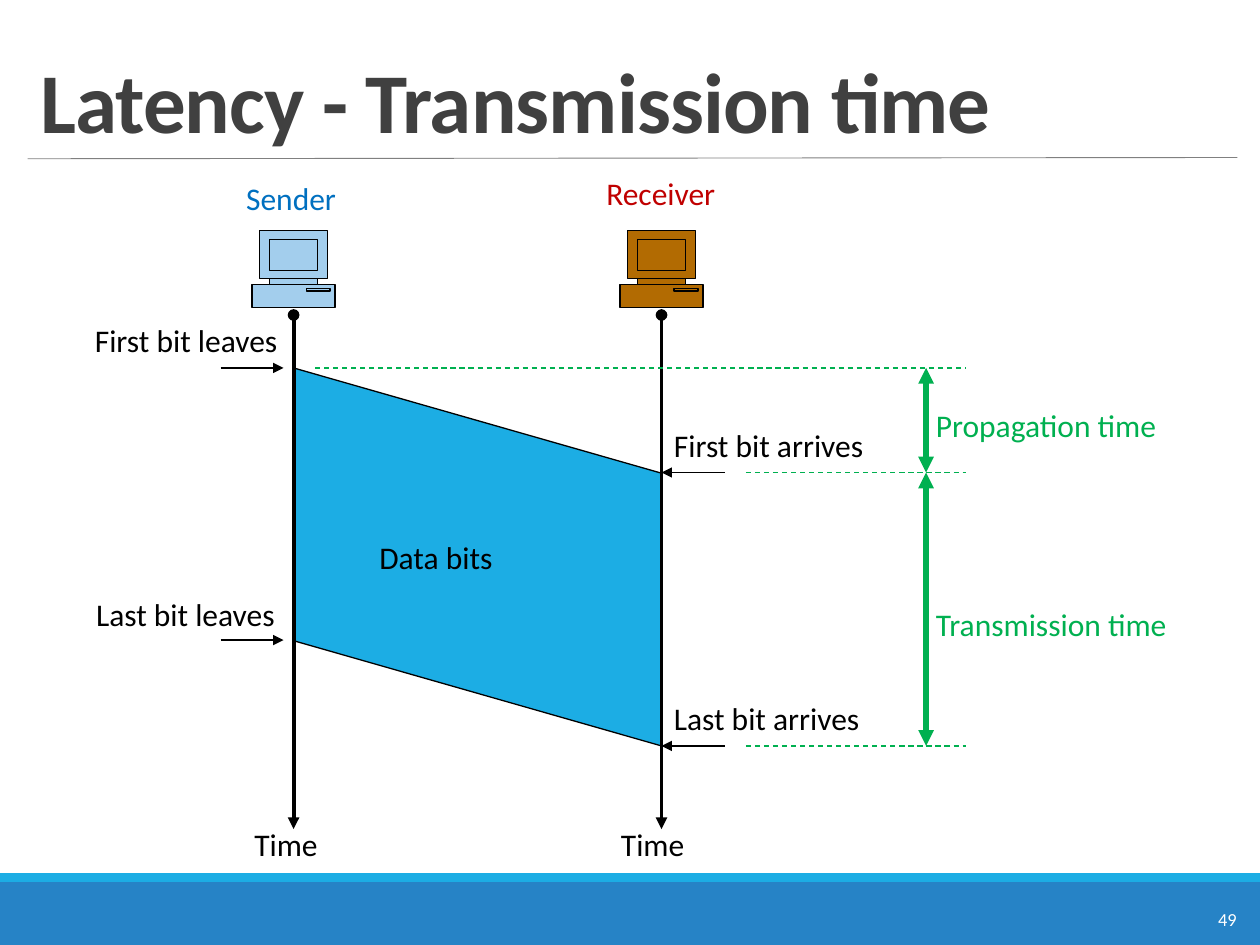
"""Build the slide on latency and transmission time between a sender and a receiver."""
import lxml.etree
import pptx
import pptx.dml.color
import pptx.enum.dml
import pptx.enum.shapes
import pptx.enum.text
import pptx.oxml.ns
import pptx.util

Inches = pptx.util.Inches
qn = pptx.oxml.ns.qn
RECTANGLE = pptx.enum.shapes.MSO_SHAPE.RECTANGLE
ALIGN = pptx.enum.text.PP_ALIGN
ANCHOR = pptx.enum.text.MSO_ANCHOR
COLORS = {
    "black": "000000", "white": "FFFFFF", "title": "404040", "rule": "808080",
    "footer": "2683C6", "accent": "1CADE4", "sender": "0070C0",
    "receiver": "C00000", "sender_pc": "A3CEED", "receiver_pc": "B26B02",
    "timing": "00B050",
}
SENDER_X, RECEIVER_X, TIMING_X = 2.33, 5.25, 7.35
FIRST_LEAVES, FIRST_ARRIVES, LAST_LEAVES, LAST_ARRIVES = 2.92, 3.75, 5.08, 5.92

prs = pptx.Presentation()
prs.slide_width, prs.slide_height = Inches(10), Inches(7.5)
slide = prs.slides.add_slide(prs.slide_layouts[6])
shapes = slide.shapes


def rgb(name):
    return pptx.dml.color.RGBColor.from_string(COLORS[name])


def add_line(start, end, color="black", width=0.75, dash=None, head=None, tail=None):
    line = shapes.add_connector(
        pptx.enum.shapes.MSO_CONNECTOR.STRAIGHT, *map(Inches, start + end))
    line.line.color.rgb = rgb(color)
    line.line.width = pptx.util.Pt(width)
    line.line.dash_style = dash
    for tag, arrow in (("a:headEnd", head), ("a:tailEnd", tail)):
        if arrow:
            lxml.etree.SubElement(line.line._get_or_add_ln(), qn(tag), type=arrow)
    lxml.etree.SubElement(line._element.spPr, qn("a:effectLst"))


for top, height, color in ((7, 0.5, "footer"), (6.93, 0.07, "accent")):
    band = shapes.add_shape(RECTANGLE, 0, Inches(top), Inches(10), Inches(height))
    band.shadow.inherit = False
    band.fill.solid()
    band.fill.fore_color.rgb = rgb(color)
    band.line.fill.background()

add_line((0.22, 1.26), (9.82, 1.25), "rule", 0.5)

data_bits = shapes.add_shape(
    pptx.enum.shapes.MSO_SHAPE.PARALLELOGRAM,
    Inches(2.29), Inches(2.96), Inches(3), Inches(2.92))
data_bits.rotation = 270
data_bits.adjustments[0] = 0.286
data_bits.shadow.inherit = False
data_bits.fill.solid()
data_bits.fill.fore_color.rgb = rgb("accent")
data_bits.line.color.rgb = rgb("black")
data_bits.line.width = pptx.util.Pt(0.75)
data_bits.text_frame.text = "Data bits"
data_bits.text_frame.word_wrap = False
data_bits.text_frame.vertical_anchor = ANCHOR.MIDDLE
data_bits.text_frame._txBody.bodyPr.set("vert", "eaVert")
data_bits.text_frame.paragraphs[0].alignment = ALIGN.CENTER
data_bits_format = {"size": pptx.util.Pt(18), "name": "Calibri"}
for attribute, value in data_bits_format.items():
    setattr(data_bits.text_frame.paragraphs[0].runs[0].font, attribute, value)
data_bits.text_frame.paragraphs[0].runs[0].font.color.rgb = rgb("black")

half_outline = [(0.33, 2.44), (0.33, 2.26), (0.19, 2.26), (0.19, 2.21),
                (0.27, 2.21), (0.27, 1.83)]
outline = half_outline + [(-x, y) for x, y in reversed(half_outline)]
details = [(-0.19, 2.21, 0.38, 0.05), (-0.19, 1.9, 0.38, 0.25), (0.1, 2.29, 0.19, 0.02)]
for axis_x, color in ((SENDER_X, "sender_pc"), (RECEIVER_X, "receiver_pc")):
    corners = [(Inches(axis_x + x), Inches(y)) for x, y in outline]
    builder = shapes.build_freeform(*corners[0])
    builder.add_line_segments(corners[1:], close=True)
    computer = [builder.convert_to_shape()]
    for x, top, width, height in details:
        computer.append(shapes.add_shape(
            RECTANGLE, *map(Inches, (axis_x + x, top, width, height))))
    for part in computer:
        part.shadow.inherit = False
        part.fill.solid()
        part.fill.fore_color.rgb = rgb(color)
        part.line.color.rgb = rgb("black")
        part.line.width = pptx.util.Pt(0.75)
    add_line((axis_x, 2.5), (axis_x, 6.58), width=2.25, head="oval", tail="triangle")

for y in (FIRST_LEAVES, LAST_LEAVES):
    add_line((1.75, y), (2.25, y), tail="triangle")
for y in (FIRST_ARRIVES, LAST_ARRIVES):
    add_line((RECEIVER_X, y), (5.75, y), head="triangle")
for left, y in ((2.5, FIRST_LEAVES), (5.92, FIRST_ARRIVES), (5.92, LAST_ARRIVES)):
    add_line((left, y), (7.67, y), "timing", dash=pptx.enum.dml.MSO_LINE.DASH)
for top, bottom in ((FIRST_LEAVES, FIRST_ARRIVES), (FIRST_ARRIVES, LAST_ARRIVES)):
    add_line((TIMING_X, top), (TIMING_X, bottom), "timing", 3,
             head="triangle", tail="triangle")

labels = [
    ("Latency - Transmission time", 0.22, 0.25, 9.6, 1, "title", 48.6, ALIGN.LEFT, True),
    ("49", 9.57, 7.16, 0.37, 0.28, "white", 10.5, ALIGN.LEFT, False),
    ("Time", 1.92, 6.5, 0.83, 0.4, "black", 18, ALIGN.LEFT, True),
    ("Time", 4.83, 6.5, 0.83, 0.4, "black", 18, ALIGN.LEFT, True),
    ("First bit leaves", 0.42, 2.5, 1.88, 0.4, "black", 18, ALIGN.RIGHT, True),
    ("Last bit leaves", 0.42, 4.67, 1.86, 0.4, "black", 18, ALIGN.RIGHT, True),
    ("First bit arrives", 5.25, 3.33, 1.85, 0.4, "black", 18, ALIGN.LEFT, False),
    ("Last bit arrives", 5.25, 5.5, 1.83, 0.4, "black", 18, ALIGN.LEFT, False),
    ("Sender", 1.75, 1.37, 1.12, 0.4, "sender", 18, ALIGN.CENTER, True),
    ("Receiver", 4.58, 1.33, 1.33, 0.4, "receiver", 18, ALIGN.CENTER, True),
    ("Propagation time", 7.33, 3.17, 1.97, 0.4, "timing", 18, ALIGN.LEFT, False),
    ("Transmission time", 7.33, 4.75, 2.05, 0.4, "timing", 18, ALIGN.LEFT, False),
]
for text, left, top, width, height, color, size, alignment, wrap in labels:
    label = shapes.add_textbox(*map(Inches, (left, top, width, height)))
    label.text_frame.word_wrap = wrap
    paragraph = label.text_frame.paragraphs[0]
    paragraph.alignment = alignment
    run = paragraph.add_run()
    run.text = text
    is_title = color == "title"
    label_format = {"size": pptx.util.Pt(size), "name": "Calibri", "bold": is_title}
    for attribute, value in label_format.items():
        setattr(run.font, attribute, value)
    run.font.color.rgb = rgb(color)
    if is_title:
        label.text_frame.vertical_anchor = ANCHOR.BOTTOM
        paragraph.line_spacing = 0.85
        run.font._element.set("spc", "-50")

prs.save("out.pptx")
